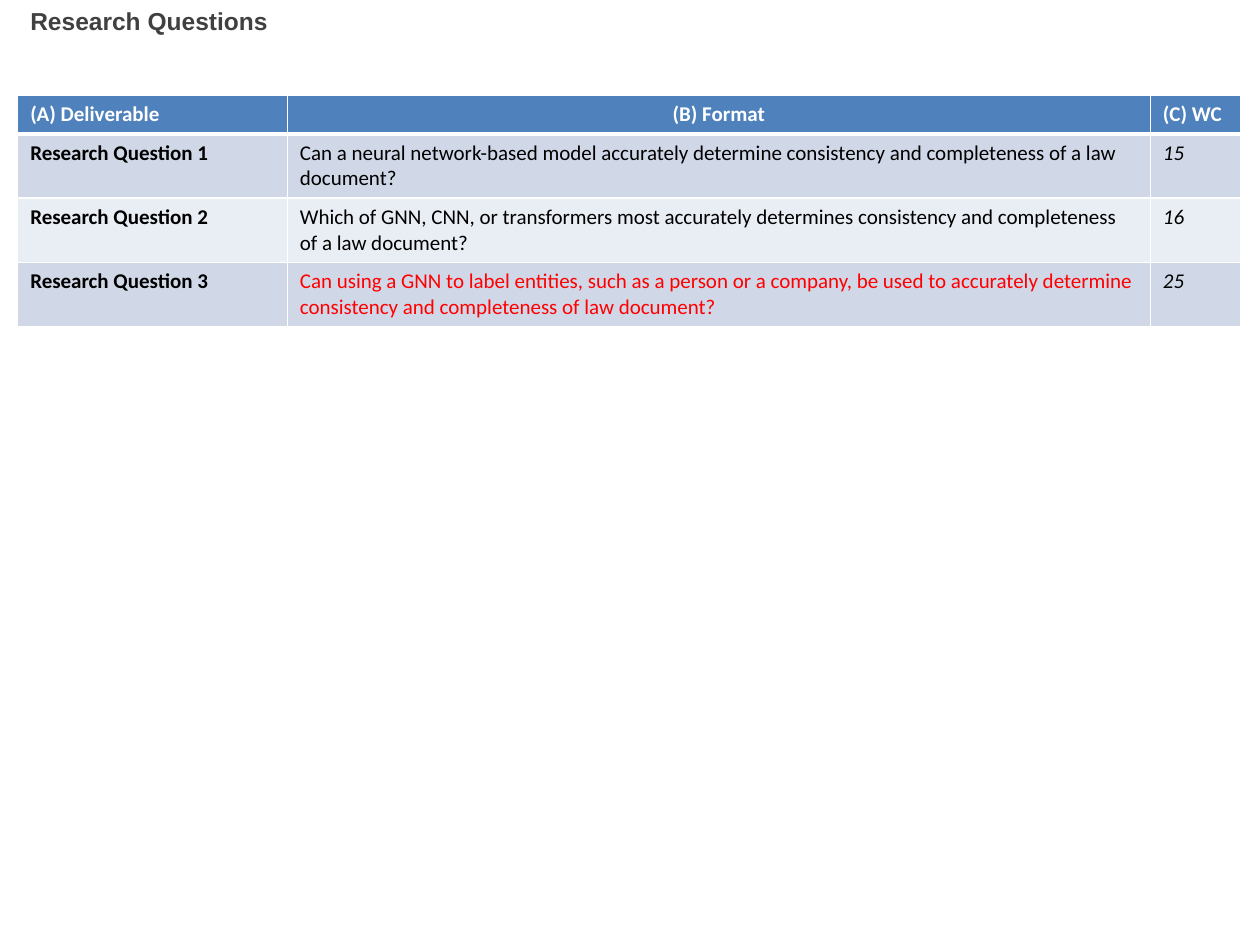
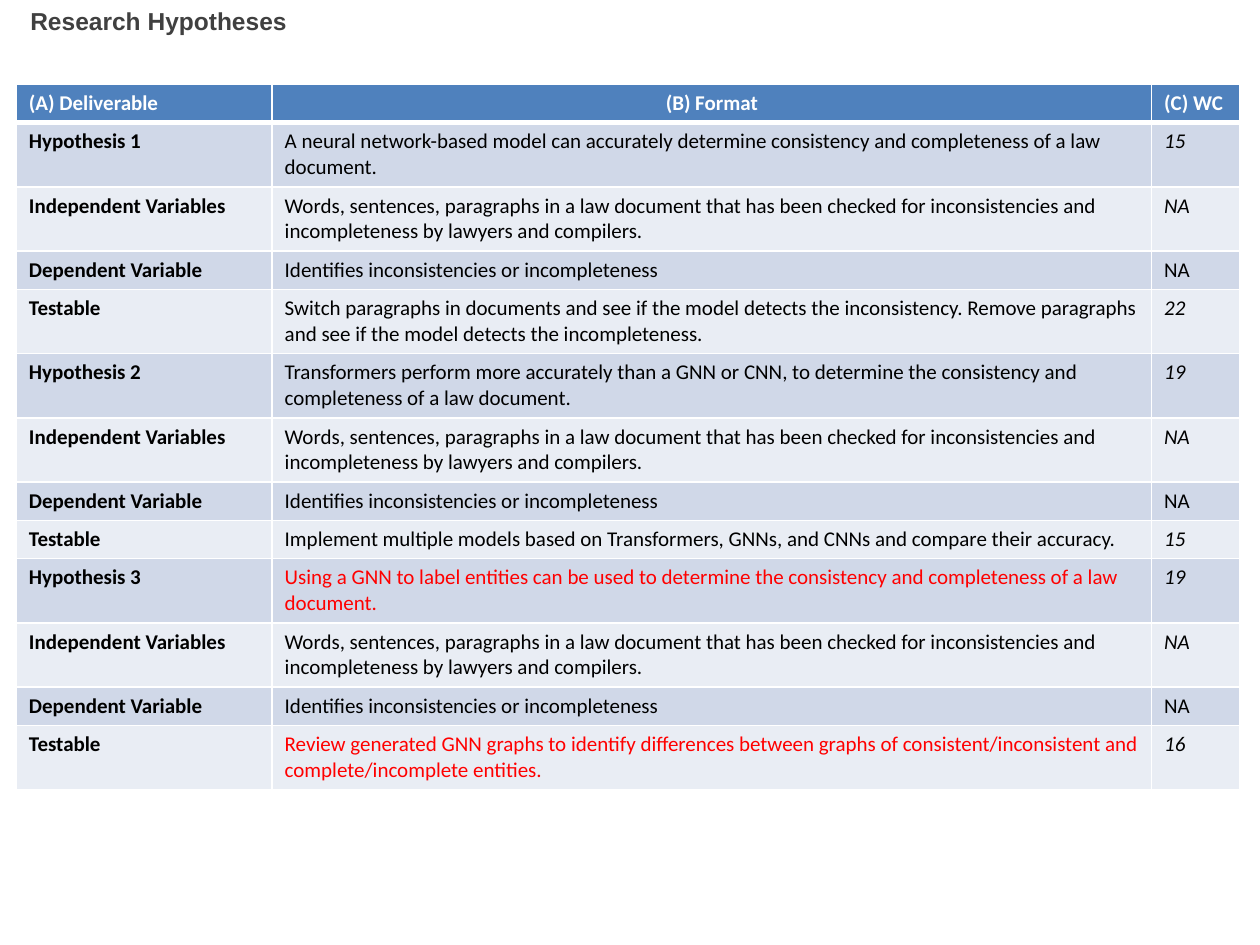
from dataclasses import dataclass
from lxml.etree import SubElement
from pptx import Presentation
from pptx.dml.color import RGBColor
from pptx.enum.text import MSO_ANCHOR, MSO_AUTO_SIZE, PP_ALIGN
from pptx.oxml.ns import qn
from pptx.util import Inches, Pt


# Colours, fonts and sizes
@dataclass(frozen=True)
class Theme:
    head: str = "4F81BD"
    bands: tuple = ("D0D8E8", "E9EDF4")
    white: str = "FFFFFF"
    black: str = "000000"
    red: str = "FF0000"
    grey: str = "404040"
    title_font: str = "Arial"
    body_font: str = "Calibri"
    title_size: int = 14
    body_size: int = 12
    thin: int = 1
    thick: int = 3
    line_chars: int = 95
    heights: tuple = (0.3, 0.51)


class Deck:
    def __init__(self, theme):
        self.theme = theme
        self.prs = Presentation()
        self.prs.slide_width, self.prs.slide_height = Inches(10), Inches(7.5)
        self.slide = None

    def run(self, para, text, font, size, color, bold=False, italic=False):
        run = para.add_run()
        run.text = text
        run.font.name, run.font.size = font, Pt(size)
        run.font.bold, run.font.italic = bold, italic
        run.font.color.rgb = RGBColor.from_string(color)

    def title(self, text):
        look = self.theme
        self.slide = self.prs.slides.add_slide(self.prs.slide_layouts[5])
        box = self.slide.shapes.title
        box.left, box.top = Inches(0.14), Inches(0)
        box.width, box.height = Inches(8.48), Inches(0.68)
        frame = box.text_frame
        frame.word_wrap = True
        frame.auto_size = MSO_AUTO_SIZE.NONE
        frame.vertical_anchor = MSO_ANCHOR.TOP
        para = frame.paragraphs[0]
        para.alignment = PP_ALIGN.LEFT
        self.run(para, text, look.title_font, look.title_size, look.grey, bold=True)

    def border(self, cell, top, bottom):
        props = cell._tc.get_or_add_tcPr()
        thin = self.theme.thin
        for side, width in zip("LRTB", (thin, thin, top, bottom)):
            line = SubElement(props, qn(f"a:ln{side}"), w=str(Pt(width)))
            fill = SubElement(line, qn("a:solidFill"))
            SubElement(fill, qn("a:srgbClr"), val=self.theme.white)

    def cell(self, cell, text, fill, color, top, bottom, bold, italic, align):
        look = self.theme
        self.border(cell, top, bottom)
        cell.fill.solid()
        cell.fill.fore_color.rgb = RGBColor.from_string(fill)
        para = cell.text_frame.paragraphs[0]
        para.alignment = align
        self.run(para, text, look.body_font, look.body_size, color, bold, italic)

    def table(self, left, top, widths, rows):
        look = self.theme
        rows = [("(A) Deliverable", "(B) Format", "(C) WC"), *rows]
        highs = [look.heights[len(row[1]) > look.line_chars] for row in rows]
        grid = self.slide.shapes.add_table(
            len(rows), len(widths), Inches(left), Inches(top),
            Inches(sum(widths)), Inches(sum(highs))).table
        grid.horz_banding = False
        for col, width in zip(grid.columns, widths):
            col.width = Inches(width)
        for r, (row, high) in enumerate(zip(rows, highs)):
            grid.rows[r].height = Inches(high)
            head = r == 0
            fill = look.head if head else look.bands[(r - 1) % 2]
            # GNN entity rows stand out in red
            alert = row[-1] == "red"
            for c, text in enumerate(row[:3]):
                color = look.white if head else look.red if alert and c == 1 else look.black
                self.cell(
                    grid.cell(r, c), text, fill, color,
                    top=look.thick if r == 1 else look.thin,
                    bottom=look.thick if head else look.thin,
                    bold=head or c == 0,
                    italic=not head and c == 2 and row[0] != "Dependent Variable",
                    align=PP_ALIGN.CENTER if head and c == 1 else PP_ALIGN.LEFT)


# Rows: deliverable, format, word count, optional mark
QUESTIONS = [
    ("Research Question 1", "Can a neural network-based model accurately determine "
     "consistency and completeness of a law document?", "15"),
    ("Research Question 2", "Which of GNN, CNN, or transformers most accurately determines "
     "consistency and completeness of a law document?", "16"),
    ("Research Question 3", "Can using a GNN to label entities, such as a person or a company, "
     "be used to accurately determine consistency and completeness of law document?", "25", "red"),
]

VARIABLES = [
    ("Independent Variables", "Words, sentences, paragraphs in a law document that has been "
     "checked for inconsistencies and incompleteness by lawyers and compilers.", "NA"),
    ("Dependent Variable", "Identifies inconsistencies or incompleteness", "NA"),
]

# Each hypothesis with its test
CLAIMS = [
    (("Hypothesis 1", "A neural network-based model can accurately determine consistency and "
      "completeness of a law document.", "15"),
     ("Testable", "Switch paragraphs in documents and see if the model detects the "
      "inconsistency. Remove paragraphs and see if the model detects the incompleteness.", "22")),
    (("Hypothesis 2", "Transformers perform more accurately than a GNN or CNN, to determine "
      "the consistency and completeness of a law document.", "19"),
     ("Testable", "Implement multiple models based on Transformers, GNNs, and CNNs and "
      "compare their accuracy.", "15")),
    (("Hypothesis 3", "Using a GNN to label entities can be used to determine the consistency "
      "and completeness of a law document.", "19", "red"),
     ("Testable", "Review generated GNN graphs to identify differences between graphs of "
      "consistent/inconsistent and complete/incomplete entities.", "16", "red")),
]


def main():
    deck = Deck(Theme())

    # Research questions
    deck.title("Research Questions")
    deck.table(0.14, 0.76, (2.14, 6.85, 0.72), QUESTIONS)

    # Research hypotheses
    deck.title("Research Hypotheses")
    rows = [row for claim, test in CLAIMS for row in (claim, *VARIABLES, test)]
    deck.table(0.13, 0.67, (2.03, 6.98, 0.7), rows)

    deck.prs.save("out.pptx")


if __name__ == "__main__":
    main()
